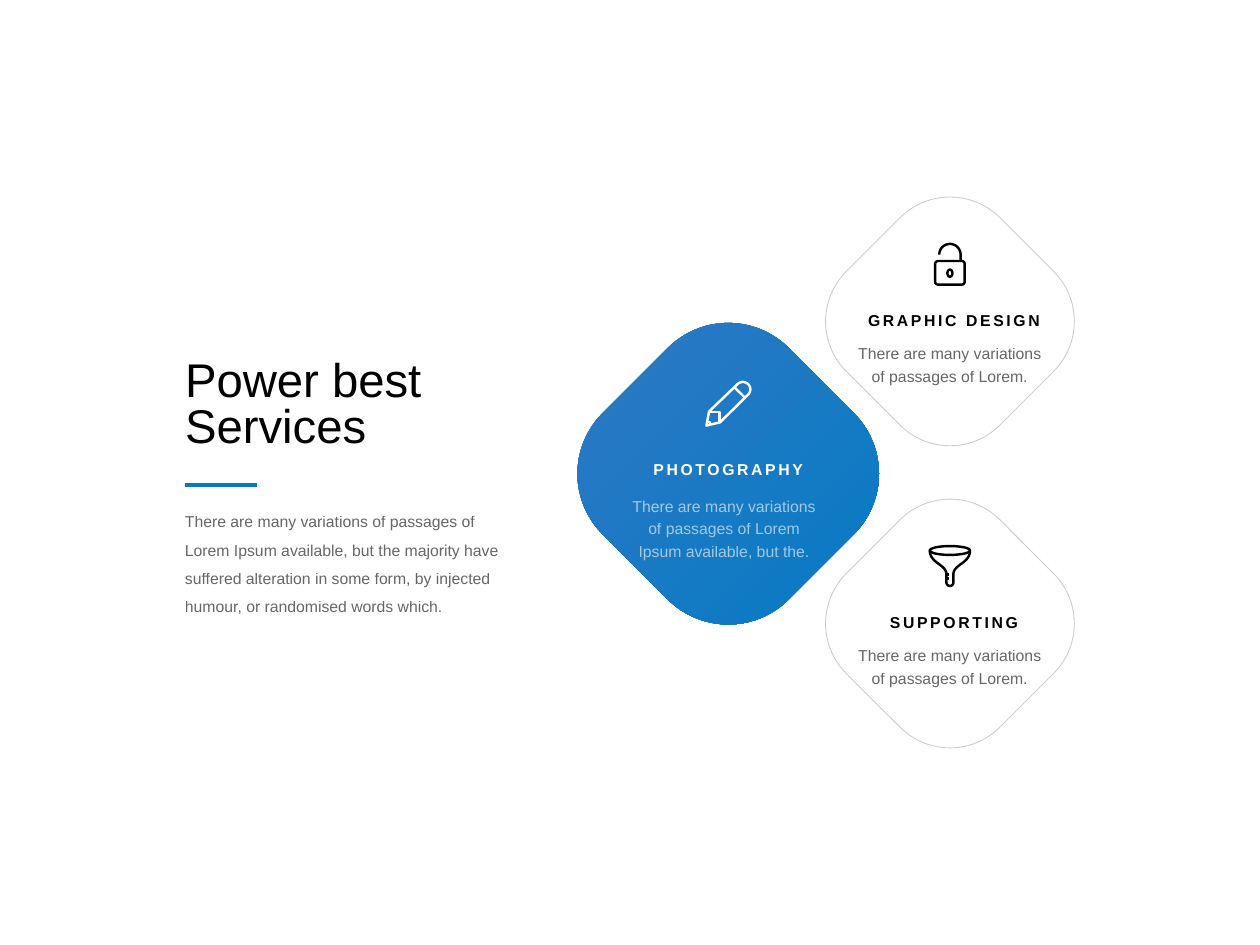
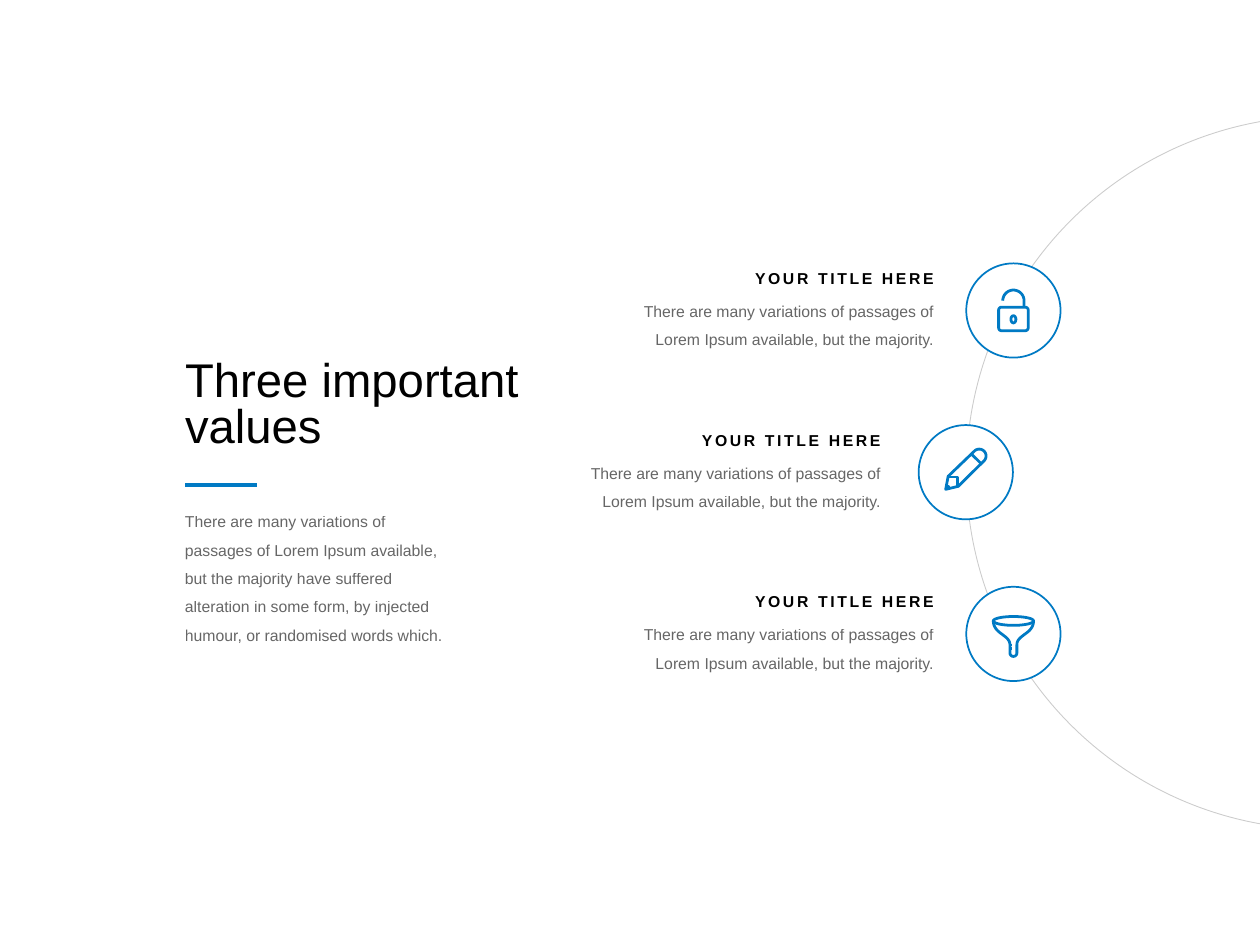
from dataclasses import dataclass
from math import cos, radians, sin

from lxml import etree
from pptx import Presentation
from pptx.dml.color import RGBColor
from pptx.enum import shapes, text
from pptx.oxml.ns import qn
from pptx.util import Cm, Pt

FONT = "Arial"
BLACK, WHITE = "000000", "FFFFFF"
BLUE, SOFT = "007AC4", "3479C4"
FADED, FAINT = 60, 20
LEFT, RIGHT, MID = text.PP_ALIGN.LEFT, text.PP_ALIGN.RIGHT, text.PP_ALIGN.CENTER
MARGIN = 3.73
PASSAGE = "There are many variations of passages of Lorem"
STORY = (PASSAGE + " Ipsum available, but the majority have suffered alteration "
         "in some form, by injected humour, or randomised words which.")

Points = list[tuple[float, float]]


def arc(x: float, y: float, rx: float, ry: float, start: int, end: int) -> Points:
    """Points of an elliptic arc, clockwise in degrees from the right."""
    return [(x + rx * cos(radians(a)), y + ry * sin(radians(a)))
            for a in range(start, end + 1, 6)]


def curve(a: tuple, b: tuple, c: tuple, d: tuple, steps: int = 20) -> Points:
    """Points of a cubic Bézier curve."""
    points = []
    for i in range(steps + 1):
        t = i / steps
        s = 1 - t
        weights = (s ** 3, 3 * s * s * t, 3 * s * t * t, t ** 3)
        points.append(tuple(sum(w * p[k] for w, p in zip(weights, (a, b, c, d)))
                            for k in (0, 1)))
    return points


@dataclass(frozen=True)
class Icon:
    """Strokes in thousandths of a centimetre."""
    width: int
    height: int
    strokes: list[Points]


LOCK = Icon(636, 864, [
    arc(80, 425, 60, 60, 180, 270) + arc(556, 425, 60, 60, 270, 360)
    + arc(556, 780, 60, 60, 0, 90) + arc(80, 780, 60, 60, 90, 180) + [(20, 425)],
    arc(318, 235, 215, 215, 180, 360) + [(533, 365)],
    arc(318, 610, 50, 72, 0, 360),
])
PENCIL = Icon(940, 940, [
    [(30, 910), (85, 625)] + arc(765, 180, 150, 150, 225, 405)
    + [(305, 845), (30, 910)],
    [(597, 140), (805, 345)],
    [(85, 640), (290, 640), (290, 845)],
    [(45, 840), (100, 840), (100, 895)],
])
FUNNEL = Icon(850, 864, [
    arc(425, 110, 405, 89, 0, 360),
    curve((20, 110), (20, 370), (355, 390), (355, 590))
    + arc(425, 755, 70, 70, 0, 180)[::-1]
    + curve((495, 590), (495, 390), (830, 370), (830, 110)),
    [(355, 597), (405, 597)],
    [(355, 673), (405, 673)],
])


@dataclass(frozen=True)
class Card:
    label: str
    body: str
    icon: Icon
    x: float
    y: float
    side: float
    left: float
    rise: float
    main: bool = False


@dataclass(frozen=True)
class Value:
    icon: Icon
    x: float
    shift: float
    drop: float


CARDS = [
    Card("GRAPHIC DESIGN", PASSAGE + ".", LOCK, 19.15, 6.48, 4.38, 17.15, 1.15),
    Card("PHOTOGRAPHY", PASSAGE + " Ipsum available, but the.", PENCIL,
         14.68, 9.55, 5.31, 12.6, 1.41, main=True),
    Card("SUPPORTING", PASSAGE + ".", FUNNEL, 19.15, 12.57, 4.38, 17.15, 1.15),
]
VALUES = [
    Value(LOCK, 19.48, 0, 0),
    Value(PENCIL, 18.52, 1.07, -0.06),
    Value(FUNNEL, 19.48, 0, 0.06),
]


def paint(color, tone: str, alpha: int = 100) -> None:
    """Set a colour, with its opacity in percent."""
    color.rgb = RGBColor.from_string(tone)
    if alpha < 100:
        node = color._xFill.find(qn("a:srgbClr"))
        etree.SubElement(node, qn("a:alpha")).set("val", str(alpha * 1000))


def stroke(line, tone: str, width: float, alpha: int = 100) -> None:
    line.fill.solid()
    paint(line.fill.fore_color, tone, alpha)
    line.width = Pt(width)


def write(shape, words: str, size: float, tone: str, align=LEFT, space: float = 1,
          alpha: int = 100, bold: bool = False, track: int = 0, inset: float = 0) -> None:
    frame = shape.text_frame
    frame.word_wrap = True
    frame.auto_size = text.MSO_AUTO_SIZE.SHAPE_TO_FIT_TEXT
    frame.vertical_anchor = text.MSO_ANCHOR.TOP
    frame.margin_left = frame.margin_top = frame.margin_bottom = 0
    frame.margin_right = Cm(inset)
    frame.text = words
    for para in frame.paragraphs:
        para.alignment, para.line_spacing = align, space
        for run in para.runs:
            run.font.name, run.font.size, run.font.bold = FONT, Pt(size), bold
            run.font.fill.solid()
            paint(run.font.fill.fore_color, tone, alpha)
            if track:
                run._r.get_or_add_rPr().set("spc", str(track))


def add_box(slide, x: float, y: float, w: float, h: float):
    return slide.shapes.add_textbox(Cm(x), Cm(y), Cm(w), Cm(h))


def add_label(slide, words: str, x: float, y: float, w: float, tone: str, align) -> None:
    write(add_box(slide, x, y, w, 0.3), words, 9, tone, align, 0.8, bold=True, track=150)


def add_body(slide, words: str, x: float, y: float, w: float, h: float,
             space: float, align=LEFT, tone: str = BLACK) -> None:
    write(add_box(slide, x, y, w, h), words, 9, tone, align, space, FADED, inset=0.18)


def add_form(slide, kind, x: float, y: float, size: float):
    form = slide.shapes.add_shape(kind, Cm(x), Cm(y), Cm(size), Cm(size))
    form.shadow.inherit = False
    return form


def add_icon(slide, icon: Icon, x: float, y: float, tone: str,
             width: float = 1.4, zoom: float = 1) -> None:
    """Draw an icon around the centre x, y."""
    first, *rest = icon.strokes
    scale = Cm(0.001) * zoom
    pen = slide.shapes.build_freeform(*first[0], scale=scale)
    pen.add_line_segments(first[1:], close=False)
    for points in rest:
        pen.move_to(*points[0])
        pen.add_line_segments(points[1:], close=False)
    form = pen.convert_to_shape(round(Cm(x) - icon.width * scale / 2),
                                round(Cm(y) - icon.height * scale / 2))
    form.shadow.inherit = False
    form.fill.background()
    stroke(form.line, tone, width)


def add_page(deck, title: str, width: float, height: float):
    """Add a slide with its title, rule and story."""
    slide = deck.slides.add_slide(deck.slide_layouts[5])
    head = slide.shapes.title
    head.left, head.top, head.width, head.height = map(Cm, (MARGIN, 7.29, 6.86, 1.85))
    write(head, title, 27, BLACK, space=0.8)
    add_body(slide, STORY, MARGIN, 10.13, width, height, 1.5)
    rule = slide.shapes.add_connector(shapes.MSO_CONNECTOR.STRAIGHT,
                                      Cm(MARGIN), Cm(9.78), Cm(5.18), Cm(9.78))
    stroke(rule.line, BLUE, 2)
    etree.SubElement(rule._element.spPr, qn("a:effectLst"))
    return slide


def add_card(slide, card: Card) -> None:
    half = card.side / 2
    form = add_form(slide, shapes.MSO_SHAPE.ROUNDED_RECTANGLE,
                    card.x - half, card.y - half, card.side)
    form.adjustments[0] = 0.325
    form.rotation = 45
    if card.main:
        form.fill.gradient()
        form.fill.gradient_angle = 0
        for stop, tone in zip(form.fill.gradient_stops, (SOFT, BLUE)):
            paint(stop.color, tone)
        form.line.fill.background()
    else:
        form.fill.background()
        stroke(form.line, BLACK, 0.5, FAINT)
    tone = WHITE if card.main else BLACK
    add_icon(slide, card.icon, card.left + 2.08 if card.main else card.x,
             card.y - card.rise, tone)
    add_label(slide, card.label, card.left + 0.25, card.y - (0.2 if card.main else 0.14),
              3.66, tone, MID)
    add_body(slide, card.body, card.left, card.y + 0.38, 4.17,
             1.35 if card.main else 0.89, 1.2, MID, tone)


def add_value(slide, value: Value, top: float) -> None:
    size = 1.9
    ring = add_form(slide, shapes.MSO_SHAPE.OVAL, value.x, top, size)
    ring.fill.solid()
    paint(ring.fill.fore_color, WHITE)
    stroke(ring.line, BLUE, 1)
    add_icon(slide, value.icon, value.x + size / 2, top + size / 2 + value.drop,
             BLUE, 1.6, 0.92 if value.icon is PENCIL else 1)
    add_body(slide, PASSAGE + " Ipsum available, but the majority.",
             12.7 - value.shift, top + 0.58, 6.3, 1.09, 1.5, RIGHT)
    add_label(slide, "YOUR TITLE HERE", 11.33 - value.shift, top + 0.18, 7.49, BLACK, RIGHT)


def main() -> None:
    deck = Presentation()
    deck.slide_width, deck.slide_height = Cm(25.4), Cm(19.05)

    slide = add_page(deck, "Power best\nServices", 6.86, 2.24)
    for card in CARDS:
        add_card(slide, card)

    slide = add_page(deck, "Three important values", 5.49, 2.82)
    orbit = add_form(slide, shapes.MSO_SHAPE.OVAL, 19.48, 2.34, 14.38)
    orbit.fill.background()
    stroke(orbit.line, BLACK, 0.5, FAINT)
    for row, value in enumerate(VALUES):
        add_value(slide, value, 5.31 + 3.26 * row)

    deck.save("out.pptx")


if __name__ == "__main__":
    main()
